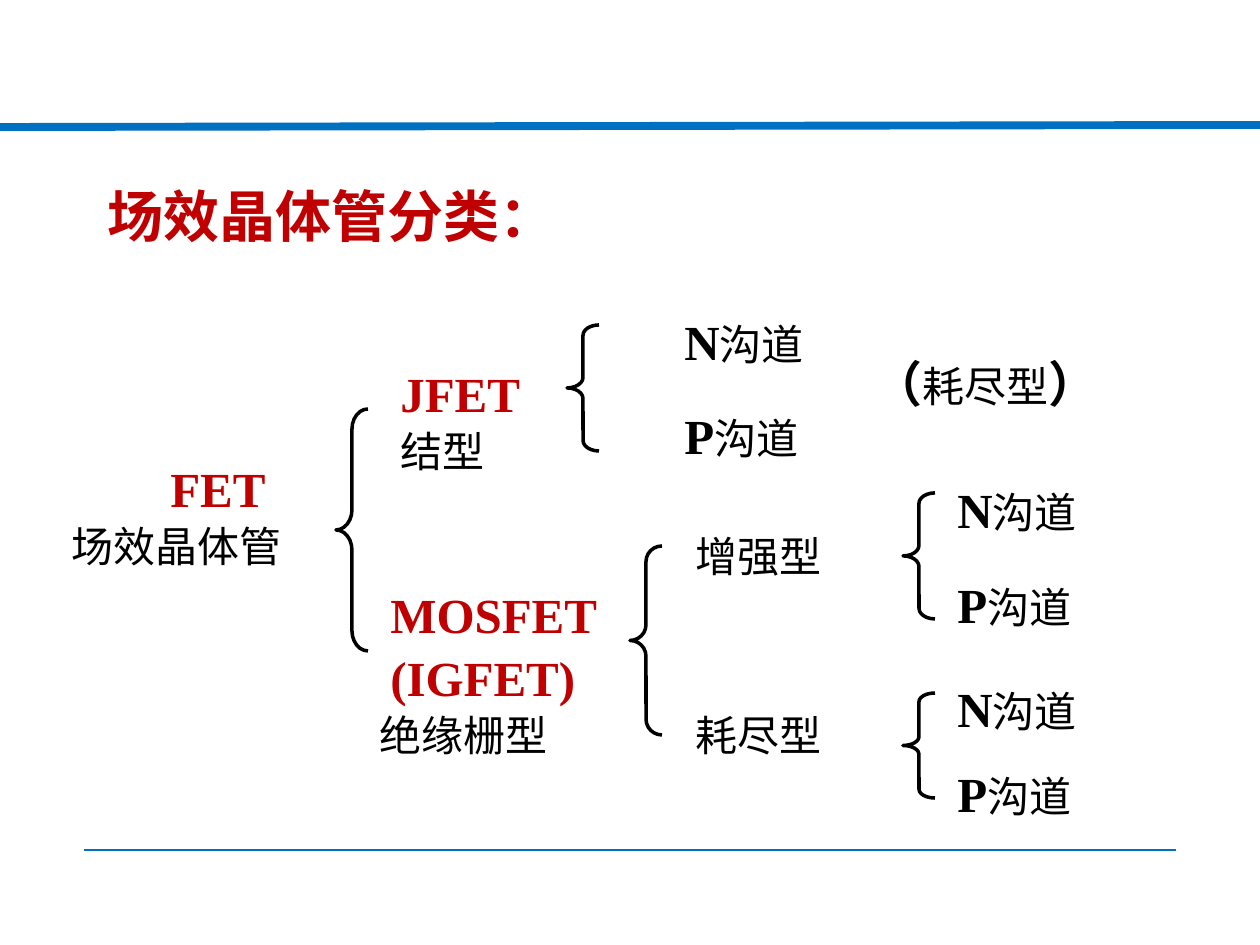
import pptx
import pptx.dml.color
import pptx.enum.shapes
import pptx.enum.text
import pptx.oxml
import pptx.oxml.ns
import pptx.util

EMU_PER_PX = 914400 / 126
COLORS = {"rule": "0070C0", "accent": "C00000", "ink": "000000"}
LATIN_FONT = "Times New Roman"
CHINESE_FONT = "Noto Sans CJK SC"
LARGE, SMALL = 28, 24


def px(length):
    return pptx.util.Emu(round(length * EMU_PER_PX))


def rgb(name):
    return pptx.dml.color.RGBColor.from_string(COLORS[name])


class TreeSlide:
    """Holds the page and draws the parts of the classification tree."""

    def __init__(self, deck):
        self.page = deck.slides.add_slide(deck.slide_layouts[5])

    def format_span(self, span, size, color, bold, font=LATIN_FONT):
        span.font.name = font
        span.font.size = pptx.util.Pt(size)
        span.font.bold = bold
        span.font.color.rgb = rgb(color)
        east_asian = pptx.oxml.parse_xml(
            f'<a:ea {pptx.oxml.ns.nsdecls("a")} typeface="{CHINESE_FONT}"/>')
        span.font._element.append(east_asian)

    def title(self, text, left, top, width, height):
        box = self.page.shapes.title
        box.left, box.top, box.width, box.height = map(px, (left, top, width, height))
        frame = box.text_frame
        frame.text = text
        frame.word_wrap = True
        frame.auto_size = pptx.enum.text.MSO_AUTO_SIZE.NONE
        frame.vertical_anchor = pptx.enum.text.MSO_ANCHOR.TOP
        paragraph = frame.paragraphs[0]
        paragraph.alignment = pptx.enum.text.PP_ALIGN.LEFT
        self.format_span(paragraph.runs[0], 32, "accent", True, CHINESE_FONT)

    def rule(self, start, end, weight):
        line = self.page.shapes.add_connector(
            pptx.enum.shapes.MSO_CONNECTOR.STRAIGHT, *map(px, start + end))
        line.line.color.rgb = rgb("rule")
        line.line.width = pptx.util.Pt(weight)
        line._element.spPr.append(pptx.oxml.parse_xml(
            f'<a:effectLst {pptx.oxml.ns.nsdecls("a")}/>'))

    def label(self, left, top, width, *parts, color="ink"):
        """Write one line; each part is a (text, size) pair, large ones bold."""
        height = 83 if any(size == LARGE for _, size in parts) else 73
        box = self.page.shapes.add_textbox(*map(px, (left, top, width, height)))
        box.text_frame.word_wrap = True
        paragraph = box.text_frame.paragraphs[0]
        paragraph.line_spacing = 1.2
        for text, size in parts:
            span = paragraph.add_run()
            span.text = text
            self.format_span(span, size, color, size == LARGE)

    def channels(self, left, *tops):
        for letter, top in zip("NP", tops):
            self.label(left, top, 179, (letter, LARGE), ("沟道", SMALL))

    def brace(self, left, top, height):
        width = 32
        brace = self.page.shapes.add_shape(
            pptx.enum.shapes.MSO_SHAPE.LEFT_BRACE, *map(px, (left, top, width, height)))
        brace.adjustments[0] = height / 12 / width
        brace.shadow.inherit = False
        brace.fill.background()
        brace.line.color.rgb = rgb("ink")
        brace.line.width = pptx.util.Pt(2)


def main():
    deck = pptx.Presentation()
    deck.slide_width, deck.slide_height = px(1260), px(945)
    tree = TreeSlide(deck)

    tree.rule((84, 850), (1176, 850), 1.5)
    tree.rule((0, 127), (1260, 125), 4.5)
    tree.title("场效晶体管分类：", 95, 175, 620, 81)

    tree.channels(672, 294, 388)
    tree.channels(945, 462, 557)
    tree.channels(945, 661, 746)
    for kind, top in (("增强型", 514), ("耗尽型", 693)):
        tree.label(683, top, 179, (kind, SMALL))
    tree.label(861, 336, 273, ("（", LARGE), ("耗尽型", SMALL), ("）", LARGE))

    for brace in ((336, 409, 242), (567, 325, 126), (630, 546, 189),
                  (903, 493, 126), (903, 693, 105)):
        tree.brace(*brace)

    for name, left, top, width in (("FET", 158, 441, 179), ("JFET", 388, 346, 179),
                                   ("MOSFET", 378, 567, 262), ("(IGFET)", 378, 630, 252)):
        tree.label(left, top, width, (name, LARGE), color="accent")
    for name, left, top, width in (("场效晶体管", 59, 504, 287), ("结型", 388, 409, 179),
                                   ("绝缘栅型", 367, 693, 252)):
        tree.label(left, top, width, (name, SMALL))

    deck.save("out.pptx")


if __name__ == "__main__":
    main()
